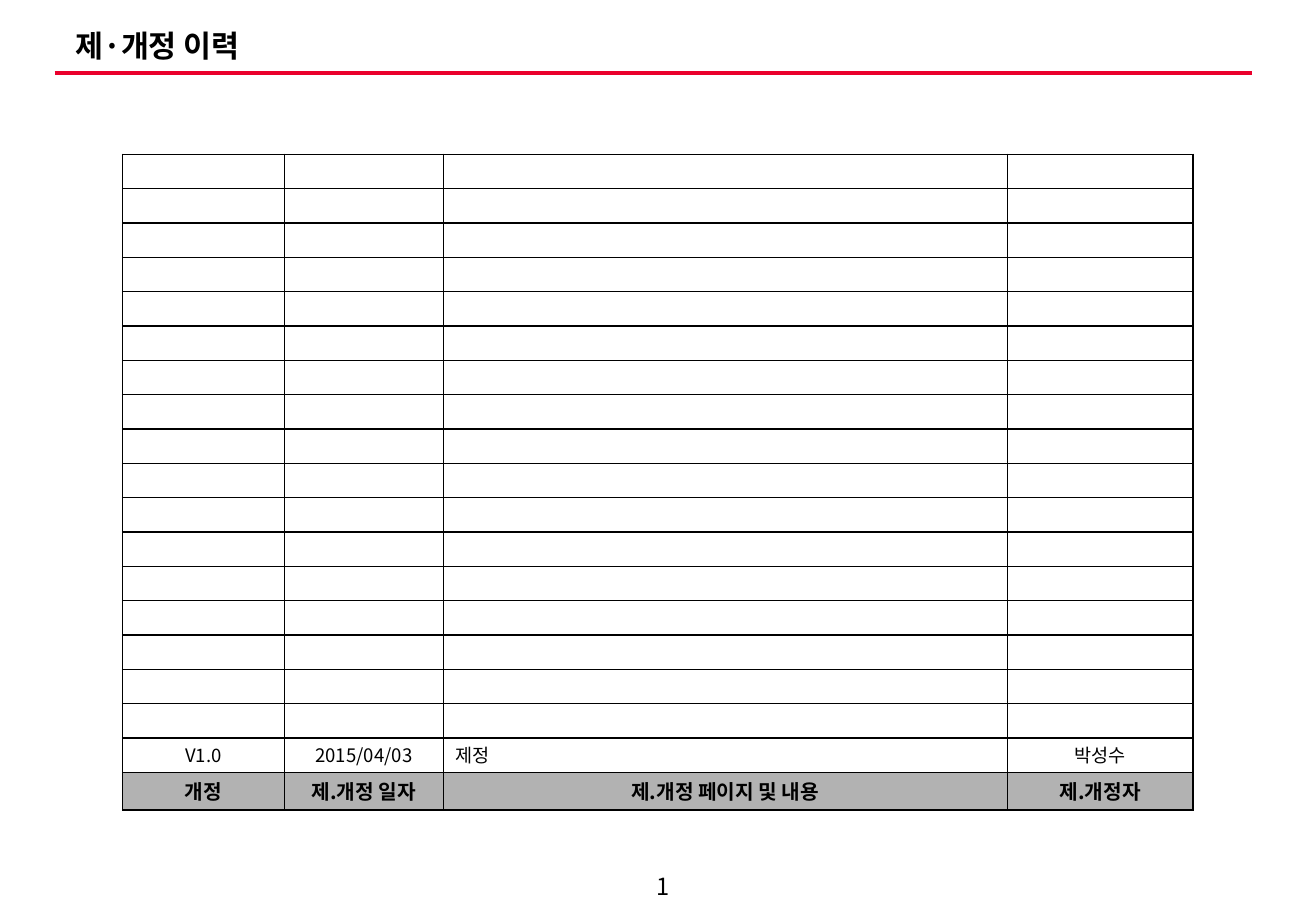
from lxml import etree
from pptx import Presentation, util as u
from pptx.dml.color import RGBColor
from pptx.enum import shapes, text
from pptx.oxml.ns import qn

THEME = {
    "font": "Noto Sans CJK KR",
    "black": RGBColor.from_string("000000"),
    "red": RGBColor.from_string("EA002C"),
    "gray": RGBColor.from_string("B2B2B2"),
    "title": u.Pt(18), "page": u.Pt(14), "head": u.Pt(12), "body": u.Pt(11),
}
CENTER, LEFT = text.PP_ALIGN.CENTER, text.PP_ALIGN.LEFT


def write(tf, words, size, bold=False, align=LEFT, spacing=1.0):
    """Fill the first paragraph of a text frame."""
    p = tf.paragraphs[0]
    p.alignment, p.line_spacing = align, spacing
    if not words:  # an empty cell keeps the body type size
        etree.SubElement(p._p, qn("a:endParaRPr"), sz=str(int(size.pt * 100)))
        return
    r = p.add_run()
    r.text = words
    for name, value in {"name": THEME["font"], "size": size, "bold": bold}.items():
        setattr(r.font, name, value)
    r.font.color.rgb = THEME["black"]
    etree.SubElement(r._r.rPr, qn("a:ea"), typeface=THEME["font"])


def border(cell, width=u.Pt(1)):
    """Draw all four sides of a cell; lines go before the fill."""
    tcPr = cell._tc.get_or_add_tcPr()
    for i, side in enumerate(("lnL", "lnR", "lnT", "lnB")):
        ln = etree.Element(qn(f"a:{side}"), w=str(int(width)))
        fill = etree.SubElement(ln, qn("a:solidFill"))
        etree.SubElement(fill, qn("a:srgbClr"), val=str(THEME["black"]))
        tcPr.insert(i, ln)


prs = Presentation()
prs.slide_width, prs.slide_height = u.Inches(10.83), u.Inches(7.5)
s = prs.slides.add_slide(prs.slide_layouts[6])

# Title rule
rule = s.shapes.add_connector(shapes.MSO_CONNECTOR.STRAIGHT, u.Inches(0.45),
                              u.Inches(0.6), u.Inches(10.3), u.Inches(0.6))
rule.line.color.rgb, rule.line.width = THEME["red"], u.Pt(2.25)
etree.SubElement(rule._element.spPr, qn("a:effectLst"))

# Title and page number
for words, box, size, bold, align, spacing in (
    ("제·개정 이력", (0.52, 0.21, 9.8, 0.37), THEME["title"], True, LEFT, 0.9),
    ("1", (5.1, 7.14, 0.71, 0.31), THEME["page"], False, CENTER, 1.0),
):
    tf = s.shapes.add_textbox(*map(u.Inches, box)).text_frame
    tf.word_wrap, tf.vertical_anchor = True, text.MSO_ANCHOR.MIDDLE
    write(tf, words, size, bold, align, spacing)

# Revision history, filled from the bottom up: heading row last
headings = ("개정", "제.개정 일자", "제.개정 페이지 및 내용", "제.개정자")
first_issue = ("V1.0", "2015/04/03", "제정", "박성수")
history = [("",) * 4] * 17 + [first_issue, headings]
col_widths = (1.33, 1.31, 4.64, 1.53)
table_height, head_height = 5.4, 0.31
row_height = (table_height - head_height) / (len(history) - 1)

table = s.shapes.add_table(len(history), len(col_widths), u.Inches(1.01), u.Inches(1.27),
                           u.Inches(sum(col_widths)), u.Inches(table_height)).table
table.first_row = table.horz_banding = False
for column, width in zip(table.columns, col_widths):
    column.width = u.Inches(width)

cell_format = {"margin_left": u.Inches(0.1), "margin_right": u.Inches(0.1),
               "margin_top": u.Inches(0.02), "margin_bottom": u.Inches(0.02),
               "vertical_anchor": text.MSO_ANCHOR.MIDDLE}
for row, entries in zip(table.rows, history):
    is_head = entries is headings
    row.height = u.Inches(head_height if is_head else row_height)
    for col, (cell, words) in enumerate(zip(row.cells, entries)):
        for name, value in cell_format.items():
            setattr(cell, name, value)
        if is_head:
            cell.fill.solid()
            cell.fill.fore_color.rgb = THEME["gray"]
        else:
            cell.fill.background()
        border(cell)
        write(cell.text_frame, words, THEME["head" if is_head else "body"], is_head,
              CENTER if is_head or col != 2 else LEFT, 1.0 if is_head else 0.9)

prs.save("out.pptx")
